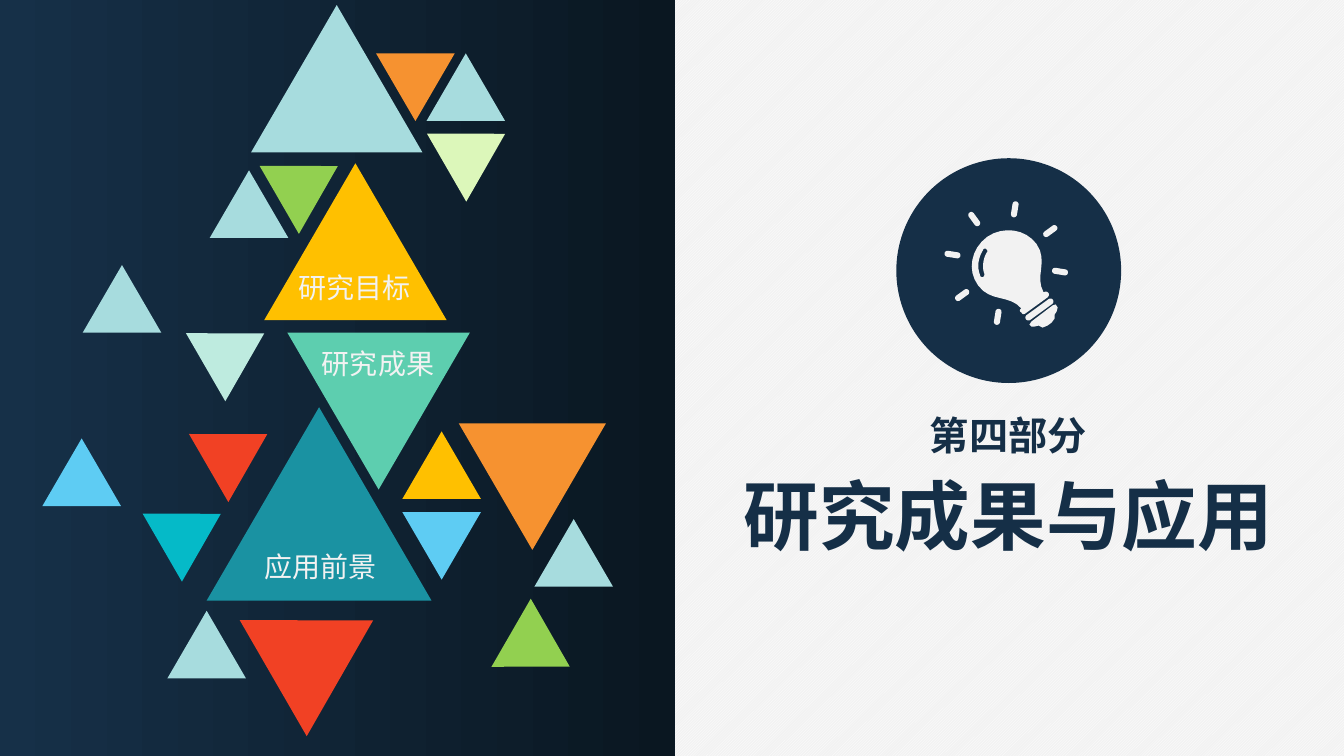
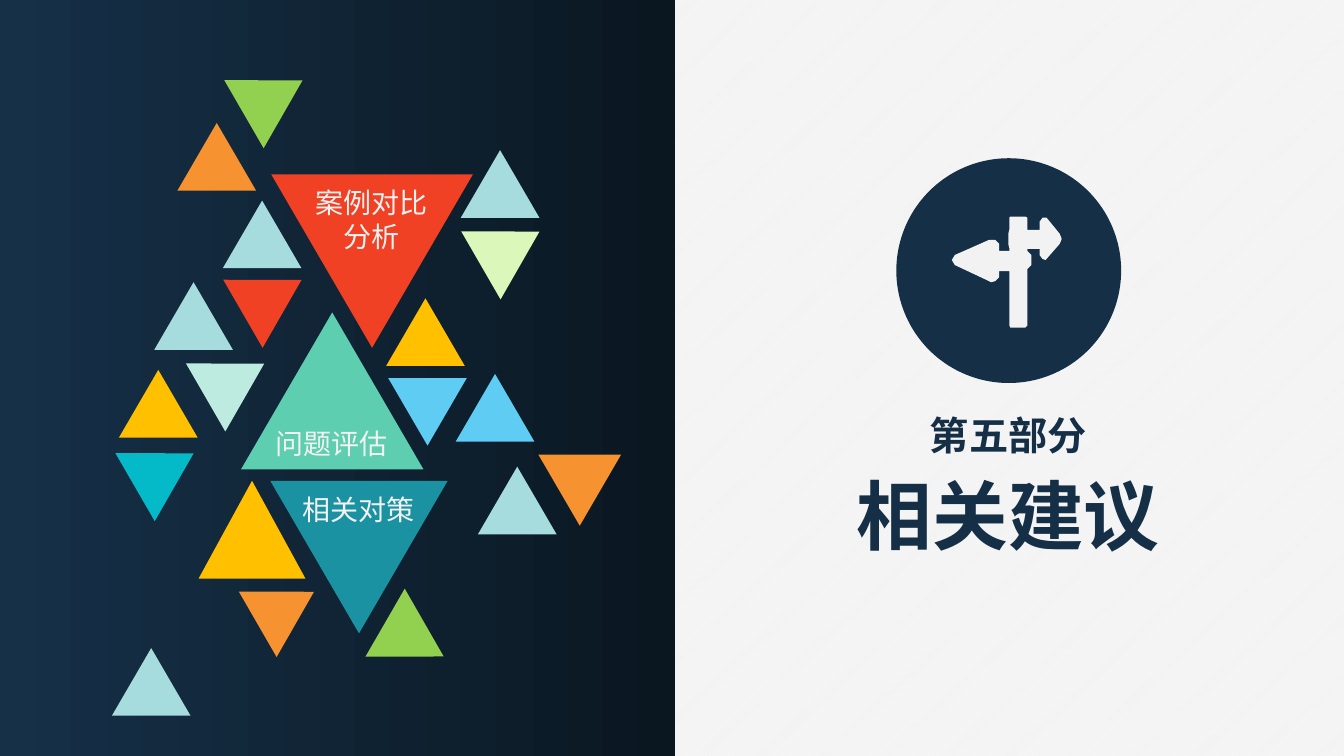
from math import cos, pi, sin

from lxml.etree import SubElement
from pptx import Presentation
from pptx.dml.color import RGBColor
from pptx.enum.dml import MSO_PATTERN
from pptx.enum.shapes import MSO_SHAPE
from pptx.enum.text import MSO_AUTO_SIZE, PP_ALIGN
from pptx.oxml.ns import qn
from pptx.util import Inches, Pt

FONT = "Noto Sans CJK SC"
NAVY, PALE = "152F47", "F2F2F2"
MIST, MINT, LIME, GREEN = "A7DCDE", "BEEBDF", "DCF7BA", "92D050"
JADE, TEAL, CYAN, SKY = "5DCEAF", "1A92A2", "05BAC8", "5ECCF3"
AMBER, ORANGE, RED = "FFC000", "F69230", "F14124"

SMALL = 0.78
TRIANGLE_RATIO = 0.86
PANEL_CENTER = 10.0
HEADING = {"size": Pt(54), "bold": True, "name": FONT}
PART = {"size": Pt(28), "bold": True, "name": FONT}
LABEL = {"size": Pt(20), "name": FONT}


def rgb(hex_code):
    """Turn a hex string into a colour."""
    return RGBColor.from_string(hex_code)


def smooth_outline(points, steps=8):
    """Sample joined cubic curves: a start point, then three points each."""
    outline = [points[0]]
    for i in range(0, len(points) - 1, 3):
        for step in range(1, steps + 1):
            t = step / steps
            weights = ((1 - t) ** 3, 3 * t * (1 - t) ** 2,
                       3 * t * t * (1 - t), t ** 3)
            outline.append(tuple(
                sum(weight * point[axis]
                    for weight, point in zip(weights, points[i:i + 4]))
                for axis in (0, 1)))
    return outline


def capsule(start, length, angle, radius):
    """Outline a round-ended bar running from start along an angle."""
    outline = []
    for distance, facing in ((length, angle), (0, angle + pi)):
        x = start[0] + distance * cos(angle)
        y = start[1] + distance * sin(angle)
        for step in range(9):
            turn = facing - pi / 2 + step * pi / 8
            outline.append((x + radius * cos(turn), y + radius * sin(turn)))
    return outline


def bulb_outlines():
    """Give the outlines of a light bulb with seven rays."""
    glass = smooth_outline([
        (10.4, 2.91), (10.41, 2.92), (10.4, 2.94), (10.39, 2.95),
        (10.39, 2.95), (10.17, 3.11), (10.17, 3.11),
        (10.15, 3.12), (10.14, 3.12), (10.13, 3.1),
        (10.11, 3.09), (10.11, 3.07), (10.13, 3.06),
        (10.01, 2.92), (9.82, 3), (9.7, 2.83),
        (9.59, 2.68), (9.63, 2.47), (9.79, 2.35),
        (9.95, 2.24), (10.17, 2.27), (10.28, 2.42),
        (10.4, 2.59), (10.26, 2.74), (10.35, 2.9),
        (10.37, 2.89), (10.39, 2.89), (10.4, 2.91)])
    glint = smooth_outline([
        (9.78, 2.47), (9.77, 2.46), (9.75, 2.47), (9.75, 2.48),
        (9.7, 2.56), (9.69, 2.65), (9.72, 2.73),
        (9.72, 2.74), (9.73, 2.75), (9.75, 2.75),
        (9.76, 2.74), (9.77, 2.72), (9.76, 2.71),
        (9.74, 2.65), (9.75, 2.56), (9.79, 2.5),
        (9.8, 2.49), (9.79, 2.48), (9.78, 2.47)])
    thread = capsule((10.2, 3.15), 0.27, -0.2 * pi, 0.03)
    cap = [(10.44, 3.03), (10.23, 3.19), (10.21, 3.22), (10.23, 3.24),
           (10.26, 3.24), (10.3, 3.23), (10.34, 3.25), (10.39, 3.23),
           (10.43, 3.2), (10.46, 3.16), (10.46, 3.12), (10.48, 3.09),
           (10.49, 3.05), (10.47, 3.02)]
    rays = []
    for ray in (0, 2, 3, 4, 5, 6, 7):
        angle = (9 + 45 * ray) * pi / 180
        inner_end = (9.98 + 0.49 * cos(angle), 2.61 + 0.49 * sin(angle))
        rays.append(capsule(inner_end, 0.1, angle, 0.03))
    return [glass, glint, thread, cap, *rays]


SIGNPOST = [[
    (10.51, 2.32), (10.38, 2.16), (10.34, 2.16), (10.31, 2.2),
    (10.31, 2.28), (10.19, 2.28), (10.19, 2.16), (10.17, 2.15),
    (10.02, 2.15), (10.01, 2.16), (10.01, 2.28), (10, 2.32),
    (10, 2.42), (10.01, 2.46), (10.01, 2.49), (9.91, 2.49),
    (9.91, 2.42), (9.87, 2.38), (9.81, 2.38), (9.47, 2.53),
    (9.44, 2.58), (9.47, 2.63), (9.81, 2.79), (9.83, 2.8),
    (9.87, 2.79), (9.91, 2.75), (9.91, 2.69), (10.01, 2.69),
    (10.01, 3.23), (10.02, 3.25), (10.17, 3.25), (10.19, 3.23),
    (10.19, 2.67), (10.23, 2.63), (10.23, 2.53), (10.19, 2.49),
    (10.19, 2.47), (10.31, 2.47), (10.31, 2.53), (10.34, 2.57),
    (10.37, 2.58), (10.51, 2.42), (10.53, 2.37)]]


class Deck:
    """Hold the presentation, its style and the current slide."""

    def __init__(self):
        """Start a wide presentation."""
        self.presentation = Presentation()
        self.presentation.slide_width = Inches(13.33)
        self.presentation.slide_height = Inches(7.5)
        self.slide = None

    def start_slide(self):
        """Add a blank slide with the hatched ground and the dark band."""
        blank = self.presentation.slide_layouts[6]
        self.slide = self.presentation.slides.add_slide(blank)
        ground = self.slide.background.fill
        ground.patterned()
        ground.pattern = MSO_PATTERN.LIGHT_UPWARD_DIAGONAL
        ground.fore_color.rgb = rgb("FFFFFF")
        ground.back_color.rgb = rgb(PALE)
        band = self.shape(MSO_SHAPE.RECTANGLE, 0, 0, 6.69, 7.5, NAVY)
        band.fill.gradient()
        band.fill.gradient_angle = 0
        for stop, color in zip(band.fill.gradient_stops, ("163048", "0A1721")):
            stop.color.rgb = rgb(color)

    def paint(self, shape, color):
        """Give a shape a plain fill without outline or shadow."""
        shape.shadow.inherit = False
        shape.fill.solid()
        shape.fill.fore_color.rgb = rgb(color)
        shape.line.fill.background()

    def shape(self, kind, left, top, width, height, color):
        """Add a painted preset shape."""
        shape = self.slide.shapes.add_shape(
            kind, Inches(left), Inches(top), Inches(width), Inches(height))
        self.paint(shape, color)
        return shape

    def triangle(self, left, top, color, turn=0, width=SMALL, height=None):
        """Add a triangle, equilateral unless a height is given."""
        triangle = self.shape(MSO_SHAPE.ISOSCELES_TRIANGLE, left, top, width,
                              height or width * TRIANGLE_RATIO, color)
        triangle.rotation = turn

    def text(self, center, top, lines, style, color):
        """Add centred lines in a box sized to the words."""
        size = style["size"].pt
        width = max(map(len, lines)) * size / 72 + 0.2
        height = len(lines) * size / 60 + 0.1
        box = self.slide.shapes.add_textbox(
            Inches(center - width / 2), Inches(top),
            Inches(width), Inches(height))
        frame = box.text_frame
        frame.word_wrap = False
        frame.auto_size = MSO_AUTO_SIZE.SHAPE_TO_FIT_TEXT
        frame.text = "\n".join(lines)
        for paragraph in frame.paragraphs:
            paragraph.alignment = PP_ALIGN.CENTER
            for run in paragraph.runs:
                for attribute, value in style.items():
                    setattr(run.font, attribute, value)
                run.font.color.rgb = rgb(color)
        for properties in box.element.iter(qn("a:rPr")):
            SubElement(properties, qn("a:ea"), typeface=FONT)

    def icon(self, outlines):
        """Draw outlines as one pale figure on the navy disc."""
        self.shape(MSO_SHAPE.OVAL, 8.89, 1.57, 2.23, 2.23, NAVY)
        builder = None
        for outline in outlines:
            points = [(Inches(x), Inches(y)) for x, y in outline]
            if builder is None:
                builder = self.slide.shapes.build_freeform(*points[0])
            else:
                builder.move_to(*points[0])
            builder.add_line_segments(points[1:], close=True)
        self.paint(builder.convert_to_shape(), PALE)

    def section(self, part, heading, icon, triangles, labels):
        """Build one section slide."""
        self.start_slide()
        self.text(PANEL_CENTER, 4.6, [heading], HEADING, NAVY)
        self.text(PANEL_CENTER, 4.03, [part], PART, NAVY)
        self.icon(icon)
        for triangle in triangles:
            self.triangle(*triangle)
        for center, top, *lines in labels:
            self.text(center, top, lines, LABEL, PALE)


# Each triangle: left, top, colour, then turn, width and height where needed.
RESULT_TRIANGLES = [
    (0.82, 2.63, MIST), (4.23, 0.53, MIST), (1.94, 3.14, MINT, 60),
    (2.85, 3.3, JADE, 180, 1.81), (2.05, 4.04, TEAL, 0, 2.23),
    (1.66, 6.06, MIST), (0.42, 4.35, SKY), (2.08, 1.69, MIST),
    (2.67, 1.48, GREEN, 60), (4.33, 1.16, LIME, 60),
    (1.51, 4.93, CYAN, 60), (4.55, 4.2, ORANGE, 180, 1.46),
    (3.99, 4.28, AMBER), (3.99, 5.08, SKY, 180), (1.97, 4.14, RED, 60),
    (2.54, 5.87, RED, 60, 1.33), (5.3, 5.15, MIST),
    (2.62, 1.62, AMBER, 0, 1.81), (4.97, 6.11, GREEN, 120),
    (2.49, 0.05, MIST, 0, 1.7), (3.73, 0.53, ORANGE, 180),
]
ADVICE_TRIANGLES = [
    (1.53, 2.8, MIST), (4.57, 1.49, MIST), (1.94, 3.44, MINT, 60),
    (2.39, 3.1, JADE, 0, 1.81), (2.68, 4.77, TEAL, 180, 1.76),
    (1.11, 6.43, MIST), (4.52, 3.71, SKY), (1.76, 1.22, ORANGE),
    (2.21, 1.99, MIST), (2.32, 0.63, GREEN, 60), (4.67, 2.13, LIME, 60),
    (1.24, 4.33, CYAN, 60), (5.34, 4.51, ORANGE, 180, 0.82),
    (3.83, 2.96, AMBER), (3.85, 3.75, SKY, 180), (2.31, 2.61, RED, 60),
    (2.46, 5.71, ORANGE, 60, 0.75), (4.74, 4.63, MIST),
    (2.69, 1.73, RED, 180, 2), (3.72, 6.01, GREEN, 120),
    (1.18, 3.67, AMBER), (1.97, 4.77, AMBER, 0, 1.06, 0.97),
]

deck = Deck()
deck.section("第四部分", "研究成果与应用", bulb_outlines(), RESULT_TRIANGLES, [
    (3.52, 2.63, "研究目标"),
    (3.75, 3.39, "研究成果"),
    (3.18, 5.4, "应用前景"),
])
deck.section("第五部分", "相关建议", SIGNPOST, ADVICE_TRIANGLES, [
    (3.69, 1.79, "案例对比", "分析"),
    (3.29, 4.18, "问题评估"),
    (3.56, 4.84, "相关对策"),
])
deck.presentation.save("out.pptx")
